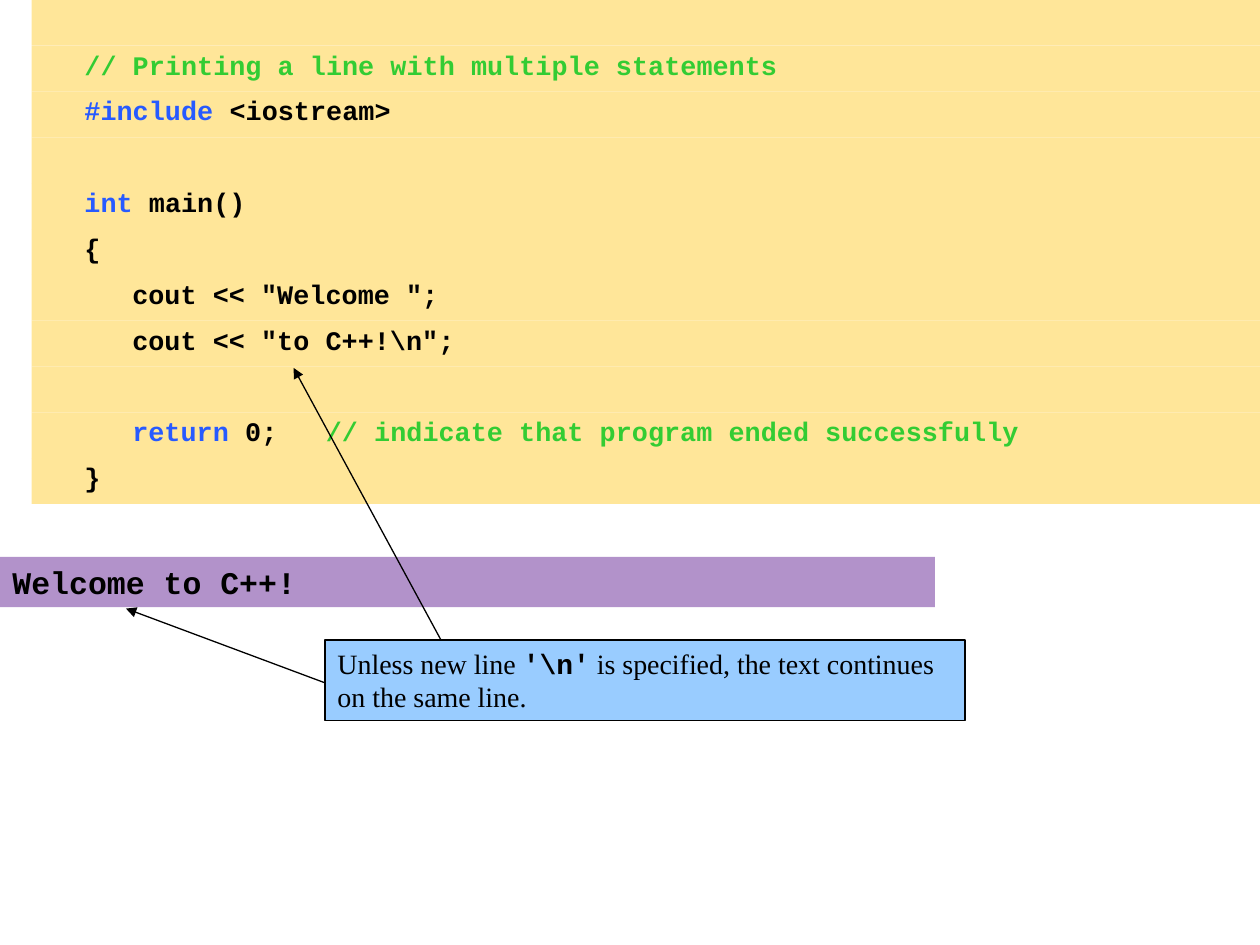
import pptx
import pptx.util
import pptx.dml.color
import pptx.enum.shapes
import pptx.enum.text
import pptx.oxml.ns
import lxml.etree

# Content: (indent level, [(style, text), ...]) for each line of code
CODE = [
    (0, []),
    (0, [("comment", "// Printing a line with multiple statements")]),
    (0, [("keyword", "#include"), ("code", " <iostream>")]),
    (0, []),
    (0, [("keyword", "int"), ("code", " main()")]),
    (0, [("code", "{")]),
    (1, [("code", 'cout << "Welcome ";')]),
    (1, [("code", 'cout << "to C++!\\n";')]),
    (0, []),
    (1, [("keyword", "return"), ("code", " 0;   "),
         ("comment", "// indicate that program ended successfully")]),
    (0, [("code", "}")]),
]
OUTPUT = [("output", "Welcome to C++!")]
NOTE = [("note", "Unless new line "), ("escape", "'\\n'"),
        ("note", " is specified, the text continues on the same line.")]

MONO, SERIF = "Courier New", "Times New Roman"
THEME = {
    "fills": {"code": "FFE699", "output": "B292CA", "note": "99CCFF"},
    "line": ("000000", 0.75),
    # style: font, size, bold, colour
    "text": {
        "code": (MONO, 15.3, True, "000000"),
        "keyword": (MONO, 15.3, True, "275AFF"),
        "comment": (MONO, 15.3, True, "33CC33"),
        "output": (MONO, 18, True, "000000"),
        "note": (SERIF, 16, False, "000000"),
        "escape": (MONO, 16, True, "000000"),
    },
}

# Layout in inches
W, H = 10, 7.5
CODE_LEFT, CODE_HEIGHT = 0.25, 4
ROW = CODE_HEIGHT / len(CODE)
CODE_INSET, INDENT = 0.42, 0.38
OUTPUT_BOX = (0, 4.42, 7.42, 0.4)
NOTE_BOX = (2.58, 5.08, 5.08, 0.64)
ARROWS = [((2.58, 5.42), (1, 4.83)), ((3.5, 5.08), (2.33, 2.92))]

Inches, Pt = pptx.util.Inches, pptx.util.Pt


def rgb(value):
    return pptx.dml.color.RGBColor.from_string(value)


def set_line(line):
    color, width = THEME["line"]
    line.color.rgb = rgb(color)
    line.width = Pt(width)


def add_box(shapes, box, fill, runs, inset=0.1, spacing=1.0, outlined=False):
    sp = shapes.add_shape(pptx.enum.shapes.MSO_SHAPE.RECTANGLE,
                          *(Inches(v) for v in box))
    sp.shadow.inherit = False
    sp.fill.solid()
    sp.fill.fore_color.rgb = rgb(THEME["fills"][fill])
    if outlined:
        set_line(sp.line)
    else:
        sp.line.fill.background()
    if not runs:
        return
    tf = sp.text_frame
    frame = {"word_wrap": True, "margin_left": Inches(inset),
             "vertical_anchor": pptx.enum.text.MSO_ANCHOR.TOP}
    for name, value in frame.items():
        setattr(tf, name, value)
    p = tf.paragraphs[0]
    p.alignment = pptx.enum.text.PP_ALIGN.LEFT
    p.line_spacing = spacing
    for style, text in runs:
        r = p.add_run()
        r.text = text
        font, size, bold, color = THEME["text"][style]
        for name, value in {"name": font, "size": Pt(size), "bold": bold}.items():
            setattr(r.font, name, value)
        r.font.color.rgb = rgb(color)


def add_arrow(shapes, start, end):
    cn = shapes.add_connector(pptx.enum.shapes.MSO_CONNECTOR.STRAIGHT,
                              *(Inches(v) for v in start + end))
    set_line(cn.line)
    qn = pptx.oxml.ns.qn
    ln = cn.line._get_or_add_ln()
    lxml.etree.SubElement(ln, qn("a:tailEnd"), type="triangle")
    lxml.etree.SubElement(cn._element.spPr, qn("a:effectLst"))


def main():
    prs = pptx.Presentation()
    prs.slide_width, prs.slide_height = Inches(W), Inches(H)
    shapes = prs.slides.add_slide(prs.slide_layouts[6]).shapes

    # Program output
    add_box(shapes, OUTPUT_BOX, "output", OUTPUT)

    # Code listing, one band per line
    listing = shapes.add_group_shape().shapes
    for i, (level, runs) in enumerate(CODE):
        add_box(listing, (CODE_LEFT, i * ROW, W - CODE_LEFT, ROW), "code", runs,
                inset=CODE_INSET + level * INDENT, spacing=0.9)

    # Callout and its arrows
    callout = shapes.add_group_shape().shapes
    add_box(callout, NOTE_BOX, "note", NOTE, outlined=True)
    for start, end in ARROWS:
        add_arrow(callout, start, end)

    prs.save("out.pptx")


if __name__ == "__main__":
    main()
